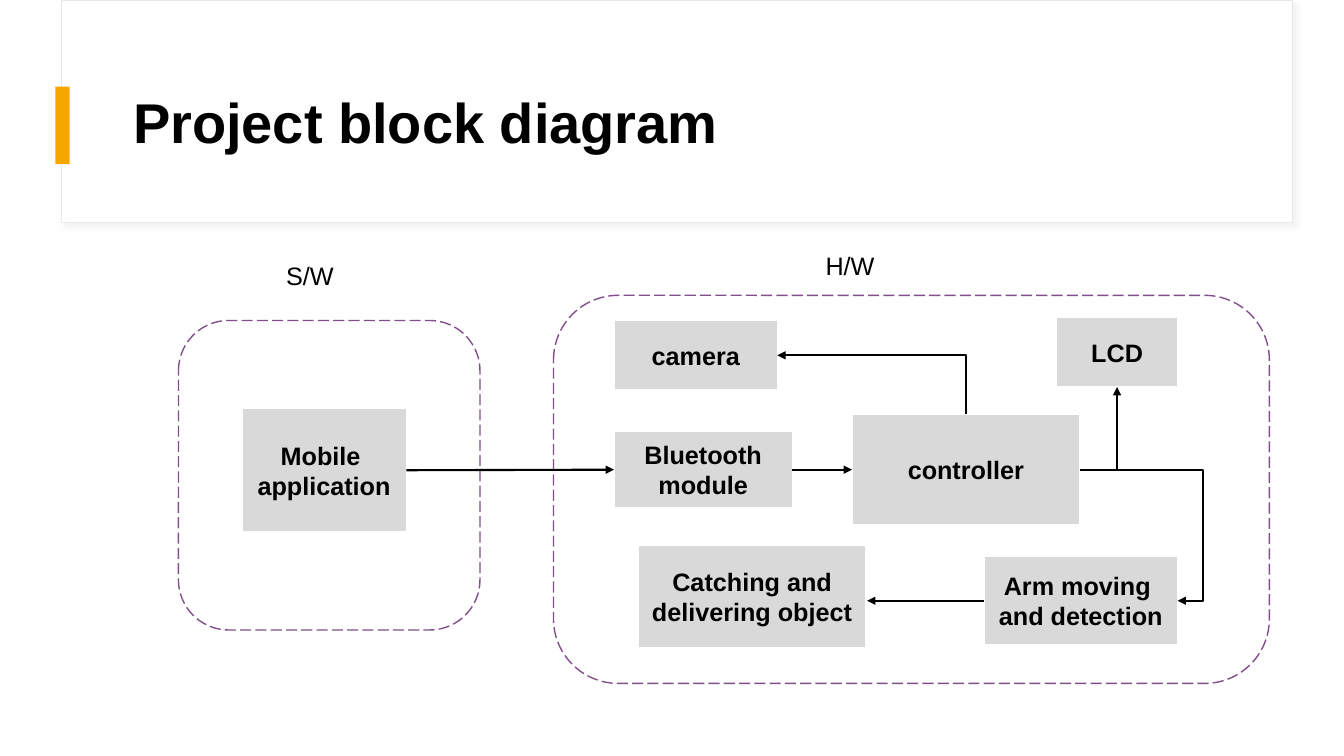
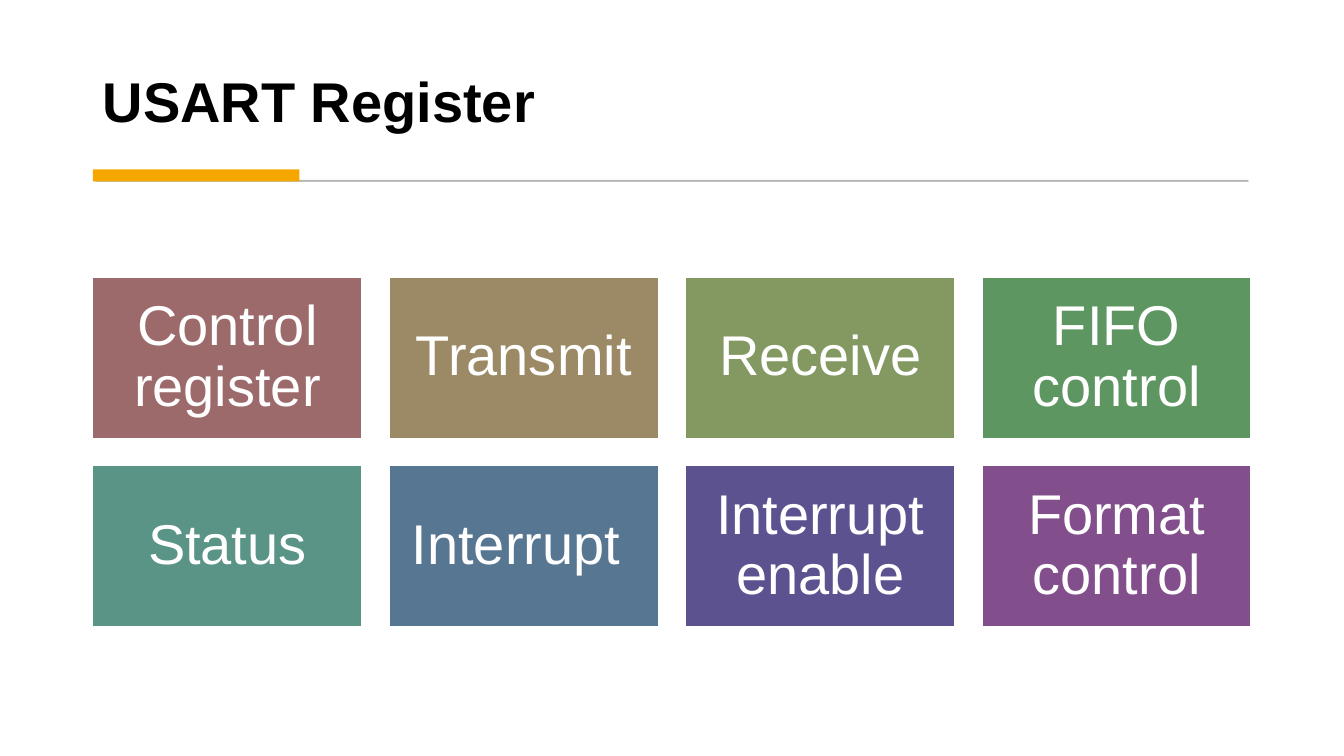
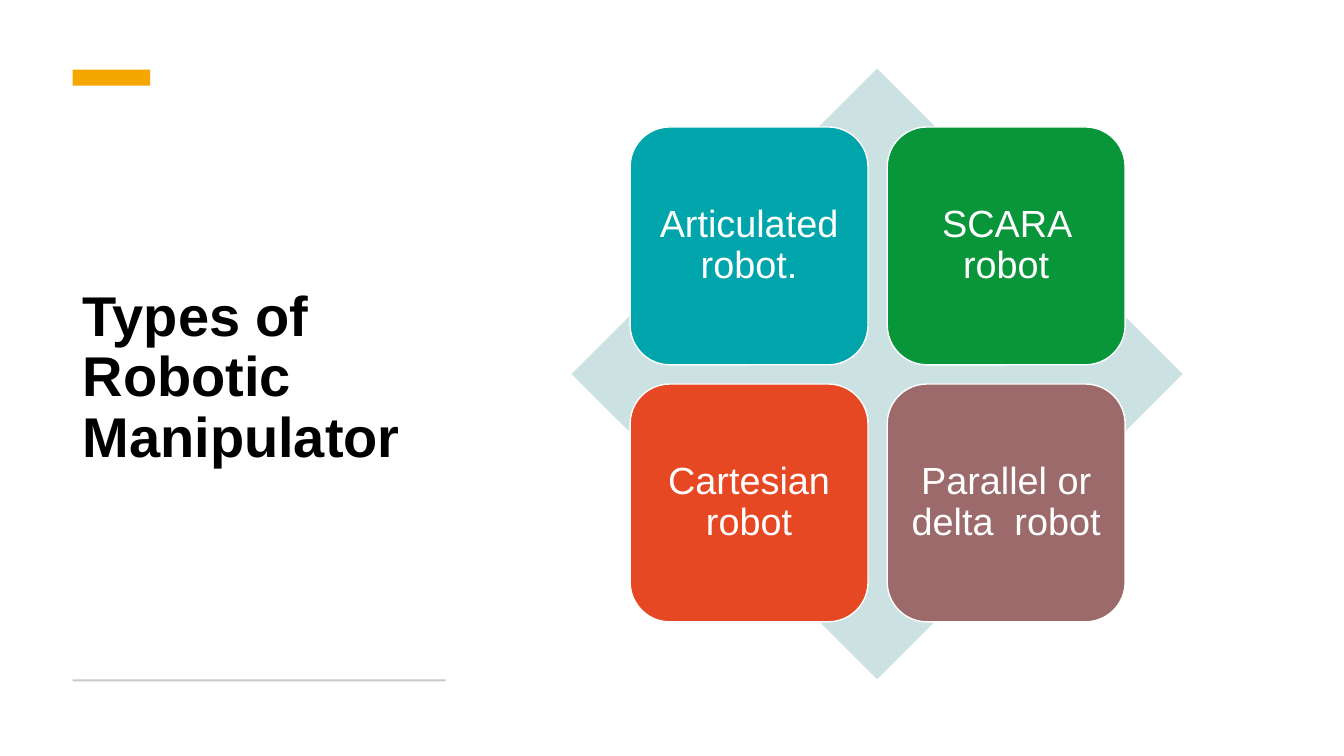
from pptx import Presentation
from pptx.dml.color import RGBColor
from pptx.enum.dml import MSO_LINE
from pptx.enum.shapes import MSO_CONNECTOR, MSO_SHAPE
from pptx.enum.text import MSO_ANCHOR, MSO_AUTO_SIZE, PP_ALIGN
from pptx.oxml.ns import qn
from pptx.util import Emu, Pt
from lxml.etree import SubElement

COLORS = {
    "black": "000000", "white": "FFFFFF", "accent": "F5A700",
    "panel_line": "E9E9E9", "panel_shadow": "D9D9D9", "block": "D9D9D9",
    "rule": "595959", "light_rule": "C9C9C9", "diamond": "CCE1E2",
    "rose": "9C6A6A", "tan": "9B8A65", "olive": "839961", "green": "5D9661",
    "sea": "5A9486", "steel": "567691", "indigo": "5B528F", "purple": "824F8C",
    "teal": "00A5AB", "leaf": "09963B", "red": "E64823",
}
FONT = "Arial"
TOP, LEFT, BOTTOM, RIGHT = range(4)


def px(length):
    return Emu(length * 9144)


def rgb(name):
    return RGBColor.from_string(COLORS[name])


def add_xml(parent, tag, **attributes):
    return SubElement(parent, qn(tag), {key: str(value) for key, value in attributes.items()})


def write(shape, text, size=18, color="black", bold=False, align=PP_ALIGN.CENTER,
          anchor=MSO_ANCHOR.MIDDLE, spacing=None, margin=None):
    frame = shape.text_frame
    frame.text = text
    frame.word_wrap = True
    frame.auto_size = MSO_AUTO_SIZE.NONE
    frame.vertical_anchor = anchor
    if margin is not None:
        frame.margin_left = frame.margin_right = px(margin)
        frame.margin_top = frame.margin_bottom = px(margin)
    for paragraph in frame.paragraphs:
        paragraph.alignment = align
        if spacing:
            paragraph.line_spacing = spacing
        for run in paragraph.runs:
            run.font.name = FONT
            run.font.size = Pt(size)
            run.font.bold = bold
            run.font.color.rgb = rgb(color)


class Deck:
    """Holds the presentation, its style and the current slide."""

    def __init__(self):
        self.presentation = Presentation()
        self.presentation.slide_width = px(1333)
        self.presentation.slide_height = px(750)
        self.slide = None

    def new_slide(self):
        self.slide = self.presentation.slides.add_slide(self.presentation.slide_layouts[5])

    def title(self, text, left, top, width, height, anchor=MSO_ANCHOR.MIDDLE):
        title = self.slide.shapes.title
        title.left, title.top, title.width, title.height = map(px, (left, top, width, height))
        write(title, text, size=40, bold=True, align=PP_ALIGN.LEFT, anchor=anchor, spacing=0.9)
        title.element.getparent().append(title.element)

    def shape(self, left, top, width, height, fill, line=None, weight=1,
              kind=MSO_SHAPE.RECTANGLE, dash=None, alpha=None):
        shape = self.slide.shapes.add_shape(kind, *map(px, (left, top, width, height)))
        shape.shadow.inherit = False
        shape.fill.solid()
        shape.fill.fore_color.rgb = rgb(fill)
        if line:
            shape.line.color.rgb = rgb(line)
            shape.line.width = Pt(weight)
            if dash:
                shape.line.dash_style = dash
        else:
            shape.line.fill.background()
        if alpha:
            for color in shape.element.spPr.iter(qn("a:srgbClr")):
                add_xml(color, "a:alpha", val=alpha * 1000)
        return shape

    def header_panel(self):
        panel = self.shape(61, 0, 1221, 221, "white", "panel_line", 0.75)
        effects = panel.element.spPr.find(qn("a:effectLst"))
        shadow = add_xml(effects, "a:outerShdw", blurRad=Pt(4), dist=Pt(3),
                         dir=45 * 60000, algn="tl", rotWithShape=0)
        color = add_xml(shadow, "a:srgbClr", val=COLORS["panel_shadow"])
        add_xml(color, "a:alpha", val=30000)

    def frame(self, left, top, width, height):
        self.shape(left, top, width, height, "white", "purple",
                   kind=MSO_SHAPE.ROUNDED_RECTANGLE, dash=MSO_LINE.LONG_DASH)

    def block(self, text, left, top, width, height):
        block = self.shape(left, top, width, height, "block", "white")
        write(block, text, bold=True)
        return block

    def tile(self, text, left, top, width, height, fill, size, margin, kind=MSO_SHAPE.RECTANGLE):
        tile = self.shape(left, top, width, height, fill, "white", kind=kind)
        write(tile, text, size=size, color="white", spacing=0.9, margin=margin)

    def label(self, text, left, top, width, height, align):
        label = self.slide.shapes.add_textbox(*map(px, (left, top, width, height)))
        write(label, text, align=align, anchor=MSO_ANCHOR.TOP)

    def arrow(self, start, start_side, end=None, end_side=None, end_point=(0, 0),
              preset=None, adjust=None, arrowhead="a:tailEnd"):
        kind = MSO_CONNECTOR.ELBOW if preset else MSO_CONNECTOR.STRAIGHT
        arrow = self.slide.shapes.add_connector(kind, 0, 0, *map(px, end_point))
        arrow.begin_connect(start, start_side)
        if end is not None:
            arrow.end_connect(end, end_side)
        arrow.line.color.rgb = rgb("black")
        arrow.line.width = Pt(1.5)
        properties = arrow.element.spPr
        add_xml(properties.find(qn("a:ln")), arrowhead, type="triangle")
        add_xml(properties, "a:effectLst")
        if preset:
            geometry = properties.find(qn("a:prstGeom"))
            geometry.set("prst", preset)
            if adjust:
                add_xml(geometry.find(qn("a:avLst")), "a:gd", name="adj1", fmla=f"val {adjust}")


def block_diagram_slide(deck):
    deck.new_slide()
    deck.header_panel()
    deck.shape(55, 86, 14, 77, "accent")
    deck.title("Project block diagram", 122, 60, 1112, 129)

    deck.frame(177, 318, 299, 307)
    deck.frame(549, 293, 710, 385)
    mobile = deck.block("Mobile \napplication", 240, 405, 163, 123)
    bluetooth = deck.block("Bluetooth\nmodule", 609, 428, 177, 76)
    controller = deck.block("controller", 845, 411, 226, 110)
    camera = deck.block("camera", 609, 318, 162, 69)
    lcd = deck.block("LCD", 1048, 315, 120, 69)
    arm = deck.block("Arm moving \nand detection", 976, 552, 192, 88)
    deck.block("Catching and delivering object", 633, 541, 226, 102)
    deck.label("S/W", 274, 253, 147, 40, PP_ALIGN.LEFT)
    deck.label("H/W", 737, 243, 212, 40, PP_ALIGN.CENTER)

    deck.arrow(mobile, RIGHT, bluetooth, LEFT)
    deck.arrow(bluetooth, RIGHT, controller, LEFT)
    deck.arrow(controller, RIGHT, arm, RIGHT, preset="bentConnector3", adjust=125800)
    deck.arrow(controller, RIGHT, lcd, BOTTOM, preset="bentConnector2")
    deck.arrow(arm, LEFT, end_point=(860, 596))
    deck.arrow(camera, RIGHT, controller, TOP, preset="bentConnector2", arrowhead="a:headEnd")


def register_slide(deck):
    deck.new_slide()
    deck.title("USART Register", 92, 28, 1149, 111, anchor=MSO_ANCHOR.BOTTOM)
    deck.shape(95, 179, 1143, 1, "rule", "rule", 0.75, alpha=30)
    deck.shape(92, 168, 205, 12, "accent")
    registers = [
        ("Control register", "rose"), ("Transmit", "tan"),
        ("Receive", "olive"), ("FIFO control", "green"),
        ("Status", "sea"), ("Interrupt ", "steel"),
        ("Interrupt enable", "indigo"), ("Format control", "purple"),
    ]
    for index, (name, fill) in enumerate(registers):
        row, column = divmod(index, 4)
        deck.tile(name, 92 + 294 * column, 275 + 187 * row, 267, 160, fill, size=40, margin=17)


def manipulator_slide(deck):
    deck.new_slide()
    deck.title("Types of Robotic Manipulator", 72, 105, 370, 541)
    deck.shape(72, 69, 77, 16, "accent")
    deck.shape(72, 674, 370, 2, "light_rule")
    deck.shape(567, 68, 606, 606, "diamond", kind=MSO_SHAPE.DIAMOND)
    robots = [
        ("Articulated robot.", "teal"), ("SCARA robot", "leaf"),
        ("Cartesian robot", "red"), ("Parallel or delta  robot", "rose"),
    ]
    for index, (name, fill) in enumerate(robots):
        row, column = divmod(index, 2)
        deck.tile(name, 625 + 255 * column, 126 + 255 * row, 236, 236, fill,
                  size=27, margin=11, kind=MSO_SHAPE.ROUNDED_RECTANGLE)


def main():
    deck = Deck()
    block_diagram_slide(deck)
    register_slide(deck)
    manipulator_slide(deck)
    deck.presentation.save("out.pptx")


if __name__ == "__main__":
    main()
